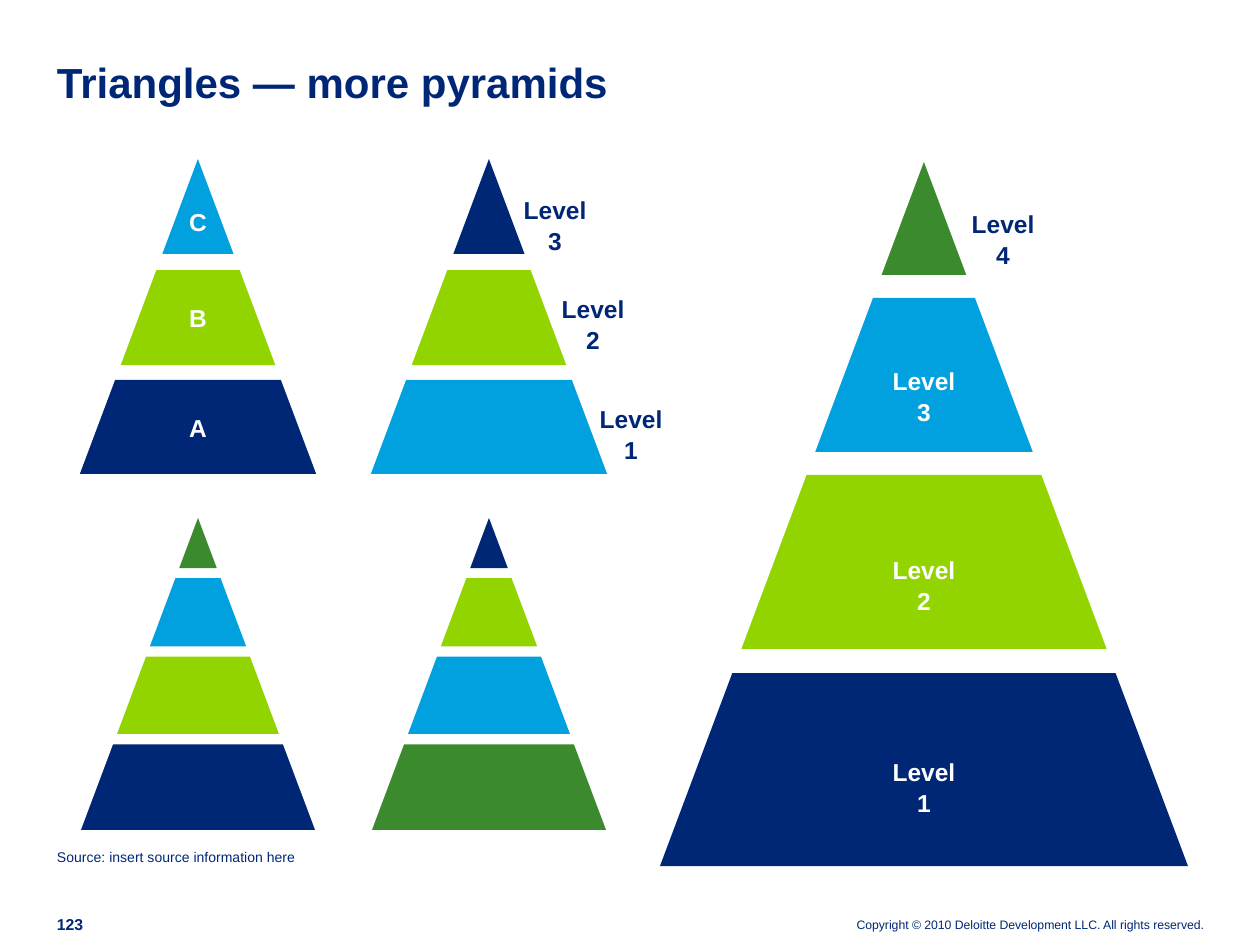
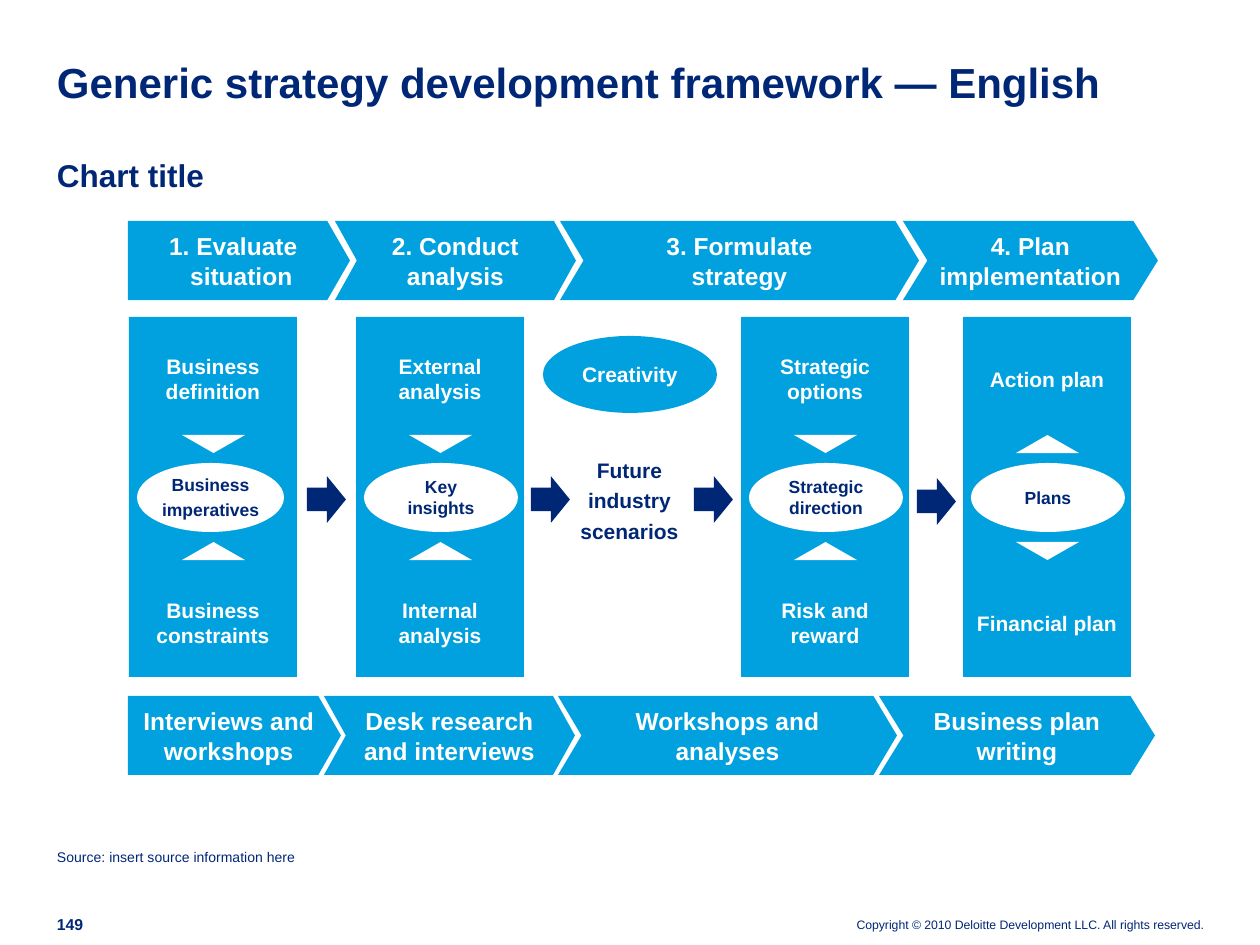
"""Build two slides: layered pyramids and a strategy development framework."""
import copy

import pptx
import pptx.dml.color
import pptx.enum.shapes
import pptx.enum.text
import pptx.oxml.ns
import pptx.util

PX = 914400 / 126
FONT = "Arial"
NAVY = pptx.dml.color.RGBColor(0x00, 0x27, 0x76)
BLUE = pptx.dml.color.RGBColor(0x00, 0xA1, 0xDE)
LIME = pptx.dml.color.RGBColor(0x92, 0xD4, 0x00)
GREEN = pptx.dml.color.RGBColor(0x3C, 0x8A, 0x2E)
WHITE = pptx.dml.color.RGBColor(0xFF, 0xFF, 0xFF)

SHAPE = pptx.enum.shapes.MSO_SHAPE
ALIGN = pptx.enum.text.PP_ALIGN
ANCHOR = pptx.enum.text.MSO_ANCHOR

HALF_BASE = 0.375
THREE_TIERS = [(0, 95), (111, 206), (221, 315)]
FOUR_TIERS = [(0, 113), (136, 290), (313, 487), (511, 704)]

PYRAMIDS = [
    (489, 159, 315, THREE_TIERS, (NAVY, LIME, BLUE)),
    (198, 159, 315, THREE_TIERS, (BLUE, LIME, NAVY)),
    (924, 162, 704, FOUR_TIERS, (GREEN, BLUE, LIME, NAVY)),
    (198, 518, 312, FOUR_TIERS, (GREEN, BLUE, LIME, NAVY)),
    (489, 518, 312, FOUR_TIERS, (NAVY, LIME, BLUE, GREEN)),
]
TIER_LABELS = [
    ("Level 1", 924, 755, WHITE),
    ("Level 2", 924, 553, WHITE),
    ("Level 3", 924, 364, WHITE),
    ("Level 4", 1003, 207, NAVY),
    ("Level 1", 631, 402, NAVY),
    ("Level 2", 593, 292, NAVY),
    ("Level 3", 555, 193, NAVY),
    ("A", 198, 411, WHITE),
    ("B", 198, 301, WHITE),
    ("C", 198, 205, WHITE),
]

STEP_POINTS = (0.287, 0.278, 0.298, 0.31)
PHASES = [
    ("1. Evaluate\vsituation", 128, 222),
    ("2. Conduct\nanalysis", 335, 241),
    ("3. Formulate\vstrategy", 560, 359),
    ("4. Plan\vimplementation", 903, 255),
]
METHODS = [
    ("Interviews and workshops", 128, 213),
    ("Desk research and interviews", 324, 251),
    ("Workshops and analyses", 558, 339),
    ("Business plan writing", 879, 276),
]
COLUMNS = [
    (129, "Business\ndefinition", "Business\nimperatives", "Business\nconstraints",
     {"core_width": 147, "core_inset": 3}),
    (356, "External analysis", "Key insights", "Internal analysis", {}),
    (741, "Strategic options", "Strategic direction", "Risk and reward", {}),
    (963, "Action plan", "Plans", "Financial plan", {"outward": True}),
]
ARROWS = [(307, 476), (531, 476), (694, 476), (917, 478)]


def emu(px):
    """Turn px into EMU."""
    return round(px * PX)


def write_text(shape, text, size=12, colour=NAVY, bold=True, align=ALIGN.CENTER,
               anchor=ANCHOR.MIDDLE, inset=(0, 0), wrap=True, spacing=None,
               gap=0, hanging=0):
    """Fill a shape with paragraphs split at line ends."""
    frame = shape.text_frame
    frame.word_wrap = wrap
    frame.vertical_anchor = anchor
    frame.margin_left = frame.margin_right = emu(inset[0])
    frame.margin_top = frame.margin_bottom = emu(inset[1])
    for index, line in enumerate(text.split("\n")):
        para = frame.add_paragraph() if index else frame.paragraphs[0]
        para.text = line
        para.alignment = align
        if spacing:
            para.line_spacing = spacing
        if index and gap:
            para.space_before = pptx.util.Pt(gap)
        if hanging:
            properties = para._p.get_or_add_pPr()
            properties.set("marL", str(emu(hanging)))
            properties.set("indent", str(-emu(hanging)))
        for span in para.runs:
            span.font.name = FONT
            span.font.size = pptx.util.Pt(size)
            span.font.bold = bold
            span.font.color.rgb = colour
        for line_break in para._p.findall(pptx.oxml.ns.qn("a:br")):
            line_break.append(copy.deepcopy(para.runs[0]._r.rPr))


def add_text(page, text, left, top, width, height, **style):
    """Add a text box."""
    box = page.shapes.add_textbox(emu(left), emu(top), emu(width), emu(height))
    write_text(box, text, **style)


def paint(shape, colour):
    """Give a shape a plain fill without line or shadow."""
    shape.shadow.inherit = False
    shape.fill.solid()
    shape.fill.fore_color.rgb = colour
    shape.line.fill.background()


def add_figure(page, kind, left, top, width, height, colour, points=()):
    """Add a filled preset shape with its adjustments."""
    figure = page.shapes.add_shape(
        kind, emu(left), emu(top), emu(width), emu(height))
    paint(figure, colour)
    for index, value in enumerate(points):
        figure.adjustments[index] = value
    return figure


def add_pyramid(page, centre, top, height, tiers, colours):
    """Cut a triangle into separate tiers, scaled to the height."""
    scale = height / tiers[-1][1]
    for (upper, lower), colour in zip(tiers, colours):
        upper, lower = upper * scale, lower * scale
        narrow, wide = upper * HALF_BASE, lower * HALF_BASE
        corners = [(centre - wide, top + lower), (centre + wide, top + lower),
                   (centre + narrow, top + upper)]
        if narrow:
            corners.append((centre - narrow, top + upper))
        corners = [(emu(x), emu(y)) for x, y in corners]
        builder = page.shapes.build_freeform(*corners[0])
        builder.add_line_segments(corners[1:], close=True)
        paint(builder.convert_to_shape(), colour)


def add_step_row(page, steps, top):
    """Add a row of one pentagon and following chevrons."""
    for index, (text, left, width) in enumerate(steps):
        kind = SHAPE.CHEVRON if index else SHAPE.PENTAGON
        step = add_figure(page, kind, left, top, width, 79, BLUE,
                          [STEP_POINTS[index]])
        hanging = 16 if text.startswith("1.") else 0
        write_text(step, text, size=14, colour=WHITE, inset=(10, 10),
                   hanging=hanging)


def add_column(page, left, upper, core, lower, core_width=154, core_inset=13,
               outward=False):
    """Add a panel with two topics that point to or from a core oval."""
    add_figure(page, SHAPE.RECTANGLE, left, 317, 168, 360, BLUE)
    for top, points_down in ((435, not outward), (542, outward)):
        pointer = add_figure(page, SHAPE.ISOSCELES_TRIANGLE, left + 53, top,
                             63, 18, WHITE)
        pointer.rotation = 180 if points_down else 0
    for text, top in ((upper, 336), (lower, 580)):
        add_text(page, text, left, top, 168, 86, colour=WHITE, inset=(12, 6))
    oval = add_figure(page, SHAPE.OVAL, left + 8, 463, core_width, 69, WHITE)
    write_text(oval, core, size=10, inset=(core_inset, 10), gap=2.3)


def add_page(deck, title, number):
    """Add a blank page with the shared title, source line and footer."""
    page = deck.slides.add_slide(deck.slide_layouts[6])
    add_text(page, title, 57, 62, 1148, 45, size=24, align=ALIGN.LEFT,
             anchor=ANCHOR.BOTTOM, spacing=pptx.util.Pt(26))
    add_text(page, "Source: insert source information here", 57, 848, 551, 18,
             size=8, bold=False, align=ALIGN.LEFT, anchor=ANCHOR.TOP)
    add_text(page, number, 57, 915, 37, 19, size=9, align=ALIGN.LEFT,
             anchor=ANCHOR.BOTTOM)
    add_text(page, "Copyright © 2010 Deloitte Development LLC. All rights reserved.",
             822, 917, 382, 15, size=7, bold=False, align=ALIGN.RIGHT,
             anchor=ANCHOR.BOTTOM)
    return page


def build_pyramids(deck):
    """Build the page of pyramids."""
    page = add_page(deck, "Triangles — more pyramids", "123")
    for pyramid in PYRAMIDS:
        add_pyramid(page, *pyramid)
    for text, centre, top, colour in TIER_LABELS:
        add_text(page, text, centre - 40, top, 80, 32, size=14, colour=colour,
                 anchor=ANCHOR.TOP, spacing=1.06)


def build_framework(deck):
    """Build the page of the strategy framework."""
    page = add_page(deck, "Generic strategy development framework — English", "149")
    add_text(page, "Chart title", 57, 156, 270, 38, size=18, align=ALIGN.LEFT,
             anchor=ANCHOR.TOP)
    add_step_row(page, PHASES, 221)
    for left, upper, core, lower, options in COLUMNS:
        add_column(page, left, upper, core, lower, **options)
    creativity = add_figure(page, SHAPE.OVAL, 543, 336, 174, 77, BLUE)
    write_text(creativity, "Creativity", colour=WHITE, inset=(12, 6))
    add_text(page, "Future\nindustry\nscenarios", 572, 452, 115, 97,
             wrap=False, gap=2.8)
    for left, top in ARROWS:
        add_figure(page, SHAPE.RIGHT_ARROW, left, top, 39, 47, NAVY, (0.5, 0.49))
    add_step_row(page, METHODS, 696)


def main():
    """Build and save the deck."""
    deck = pptx.Presentation()
    deck.slide_width, deck.slide_height = emu(1260), emu(945)
    build_pyramids(deck)
    build_framework(deck)
    deck.save("out.pptx")


if __name__ == "__main__":
    main()
